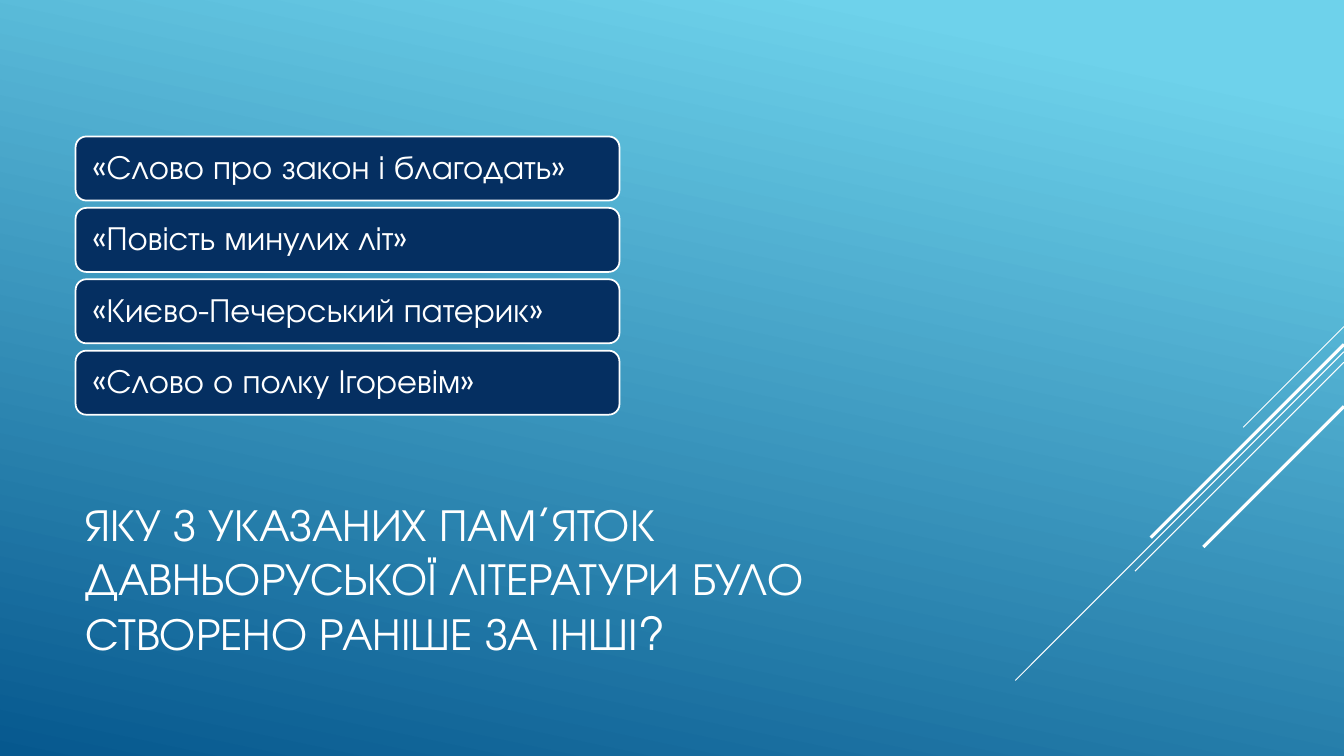
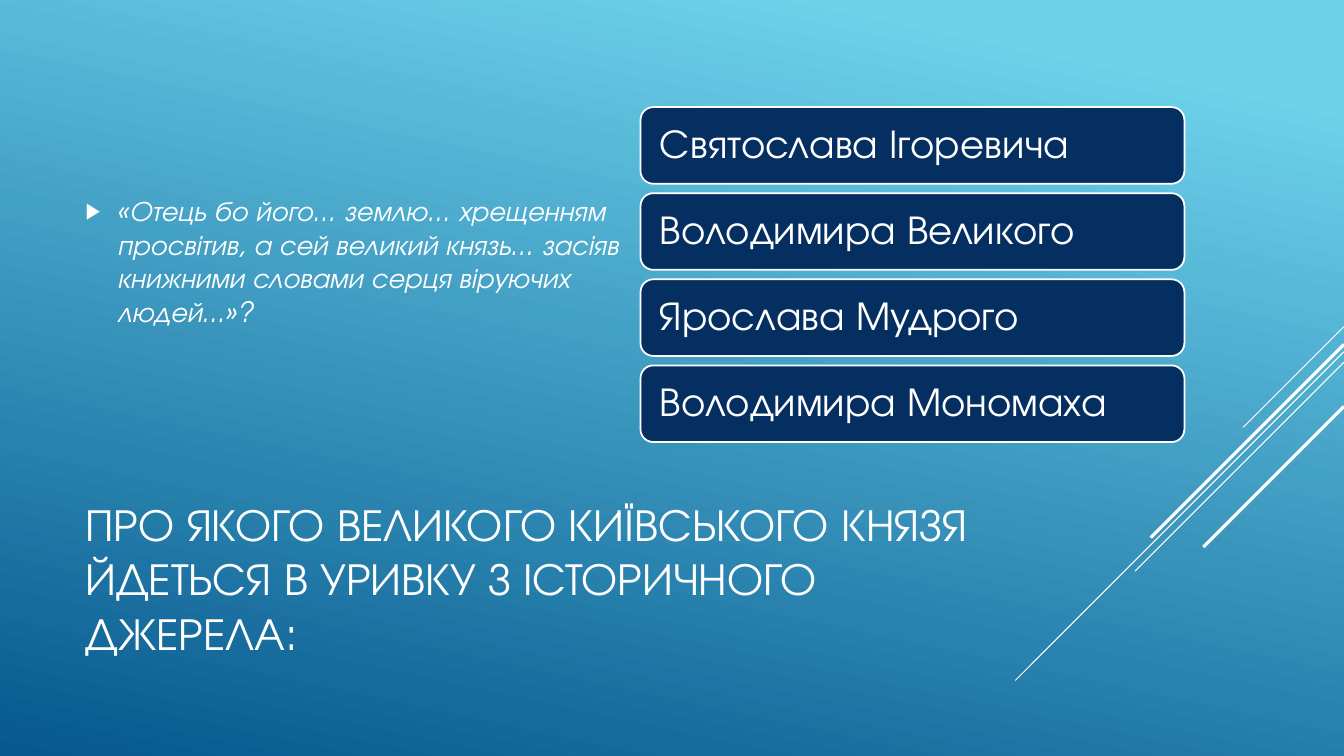
from dataclasses import dataclass

from lxml import etree
from pptx import Presentation
from pptx.dml.color import RGBColor
from pptx.enum.shapes import MSO_CONNECTOR, MSO_SHAPE
from pptx.enum.text import MSO_ANCHOR, MSO_AUTO_SIZE, PP_ALIGN
from pptx.oxml.ns import qn
from pptx.util import Emu, Pt

WHITE = RGBColor(0xFF, 0xFF, 0xFF)
NAVY = RGBColor(0x05, 0x2F, 0x61)
SKY = RGBColor(0x6E, 0xD2, 0xEB)
DEEP_BLUE = RGBColor(0x06, 0x58, 0x8E)
FONT = "TeX Gyre Adventor"
SLIDE_W, SLIDE_H = 1280, 720
TITLE_ONLY, TITLE_AND_BODY = 5, 1


@dataclass(frozen=True)
class Box:
    x: int
    y: int
    w: int
    h: int


@dataclass(frozen=True)
class Ray:
    y: int
    run: int
    weight: float


@dataclass(frozen=True)
class Answers:
    first: Box
    pitch: int
    inset: int
    size: int
    texts: tuple[str, ...]


@dataclass(frozen=True)
class Question:
    title: str
    answers: Answers
    quote: str = ""


TITLE_BOX = Box(72, 471, 896, 158)
QUOTE_BOX = Box(72, 20, 528, 457)
RAYS = (
    Ray(311, 96, 0.75),
    Ray(335, 313, 0.75),
    Ray(345, 199, 0.75),
    Ray(328, 184, 2.25),
    Ray(387, 134, 2.25),
)
QUESTIONS = (
    Question(
        "ЯКУ З УКАЗАНИХ ПАМ’ЯТОК ДАВНЬОРУСЬКОЇ ЛІТЕРАТУРИ БУЛО СТВОРЕНО РАНІШЕ ЗА ІНШІ?",
        Answers(Box(72, 130, 518, 61), 68, 13, 24, (
            "«Слово про закон і благодать»",
            "«Повість минулих літ»",
            "«Києво-Печерський патерик»",
            "«Слово о полку Ігоревім»",
        )),
    ),
    Question(
        "ПРО ЯКОГО ВЕЛИКОГО КИЇВСЬКОГО КНЯЗЯ ЙДЕТЬСЯ В УРИВКУ З ІСТОРИЧНОГО ДЖЕРЕЛА:",
        Answers(Box(610, 102, 518, 73), 82, 15, 29, (
            "Святослава Ігоревича",
            "Володимира Великого",
            "Ярослава Мудрого",
            "Володимира Мономаха",
        )),
        "«Отець бо його... землю... хрещенням просвітив, а сей великий князь... "
        "засіяв книжними словами серця віруючих людей...»?",
    ),
)


def px(n: int) -> Emu:
    return Emu(n * 9525)


def place(sp, box: Box) -> None:
    sp.left, sp.top, sp.width, sp.height = map(px, (box.x, box.y, box.w, box.h))


def write(sp, text: str, size: float, italic: bool = False):
    tf = sp.text_frame
    tf.text = text
    tf.word_wrap = True
    tf.auto_size = MSO_AUTO_SIZE.NONE
    tf.vertical_anchor = MSO_ANCHOR.MIDDLE
    p = tf.paragraphs[0]
    p.alignment = PP_ALIGN.LEFT
    p.space_before = Pt(0)
    for r in p.runs:
        r.font.name = FONT
        r.font.size = Pt(size)
        r.font.italic = italic
        r.font.color.rgb = WHITE
    return p


def add_bullet(p, indent: int) -> None:
    pPr = p._p.get_or_add_pPr()
    pPr.set("marL", str(px(indent)))
    pPr.set("indent", str(px(-indent)))
    color = etree.SubElement(pPr, qn("a:buClr"))
    etree.SubElement(color, qn("a:srgbClr"), val=str(WHITE))
    etree.SubElement(pPr, qn("a:buSzPct"), val="80000")
    etree.SubElement(pPr, qn("a:buFont"), typeface="Arial")
    etree.SubElement(pPr, qn("a:buChar"), char="▶")


def paint_background(master) -> None:
    fill = master.background.fill
    fill.gradient()
    fill.gradient_angle = 258
    for stop, color, position in zip(fill.gradient_stops, (SKY, DEEP_BLUE), (0.1, 1.0)):
        stop.color.rgb = color
        stop.position = position


def draw_ray(slide, ray: Ray) -> None:
    line = slide.shapes.add_connector(
        MSO_CONNECTOR.STRAIGHT,
        px(SLIDE_W), px(ray.y), px(SLIDE_W - ray.run), px(ray.y + ray.run),
    )
    line.line.color.rgb = WHITE
    line.line.width = Pt(ray.weight)
    etree.SubElement(line._element.spPr, qn("a:effectLst"))


def draw_answers(slide, answers: Answers) -> None:
    box = answers.first
    for i, text in enumerate(answers.texts):
        sp = slide.shapes.add_shape(
            MSO_SHAPE.ROUNDED_RECTANGLE,
            px(box.x), px(box.y + i * answers.pitch), px(box.w), px(box.h),
        )
        sp.shadow.inherit = False
        sp.fill.solid()
        sp.fill.fore_color.rgb = NAVY
        sp.line.color.rgb = WHITE
        sp.line.width = Pt(1.25)
        tf = sp.text_frame
        tf.margin_left = tf.margin_right = px(answers.inset)
        tf.margin_top = tf.margin_bottom = 0
        write(sp, text, answers.size).line_spacing = 0.9


def draw_quote(sp, quote: str) -> None:
    place(sp, QUOTE_BOX)
    p = write(sp, quote, 20, italic=True)
    p.space_after = Pt(6)
    add_bullet(p, 30)


def add_question(prs, question: Question) -> None:
    layout = TITLE_AND_BODY if question.quote else TITLE_ONLY
    slide = prs.slides.add_slide(prs.slide_layouts[layout])
    for ray in RAYS:
        draw_ray(slide, ray)
    title = slide.shapes.title
    place(title, TITLE_BOX)
    write(title, question.title, 32.4)
    if question.quote:
        draw_quote(slide.placeholders[1], question.quote)
    draw_answers(slide, question.answers)


def main() -> None:
    prs = Presentation()
    prs.slide_width, prs.slide_height = px(SLIDE_W), px(SLIDE_H)
    paint_background(prs.slide_master)
    for question in QUESTIONS:
        add_question(prs, question)
    prs.save("out.pptx")


if __name__ == "__main__":
    main()
